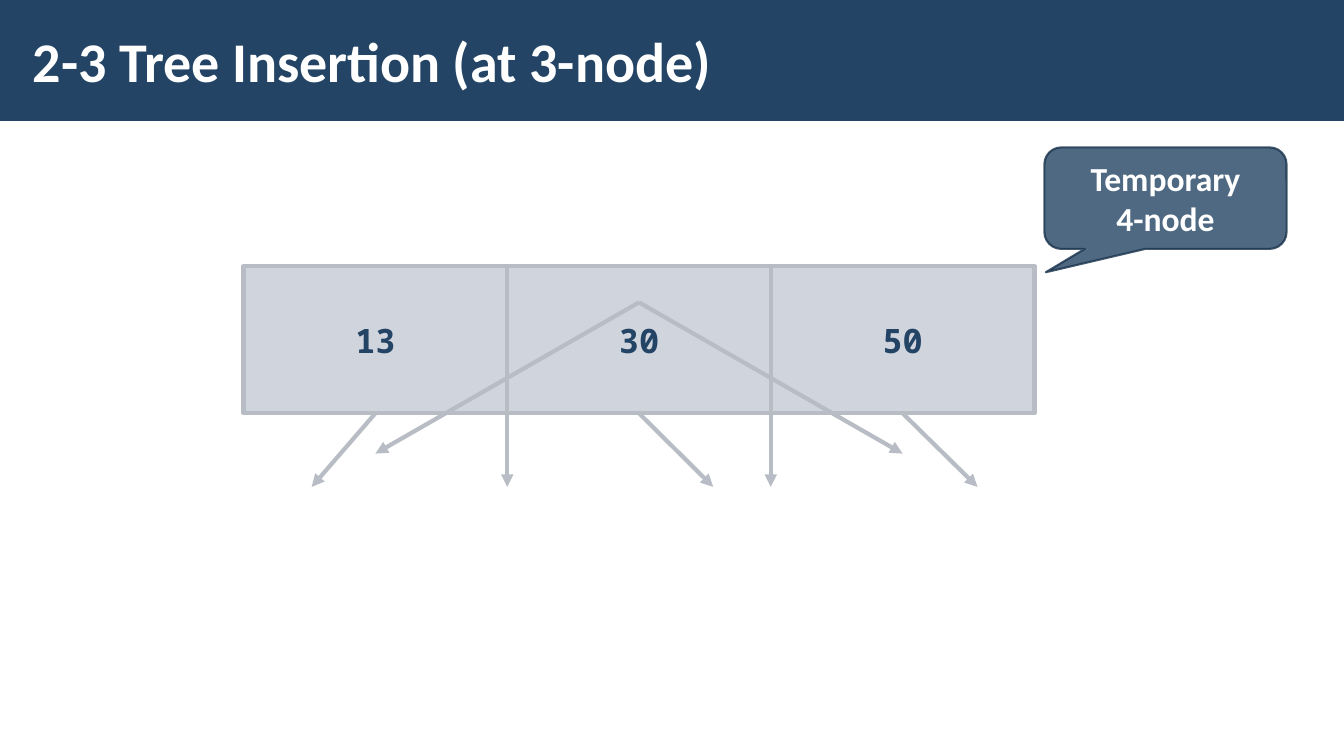
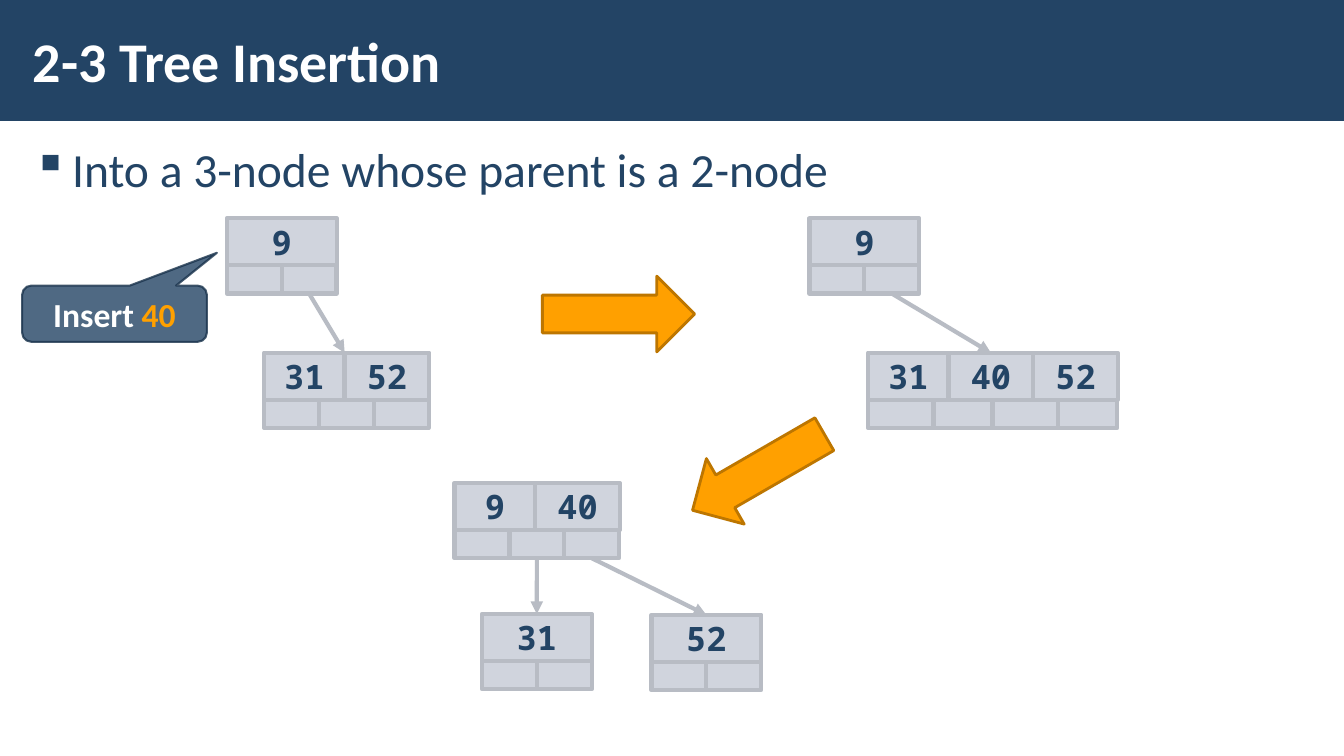
"""Build two slides on inserting keys into a 2-3 tree."""
from itertools import accumulate

from lxml import etree
from pptx import Presentation
from pptx.dml.color import RGBColor
from pptx.enum import shapes, text
from pptx.oxml import ns
from pptx.util import Pt

COLORS = {
    "navy": "234465", "edge": "1A334C", "white": "FFFFFF", "cell": "A3ABBC",
    "line": "B8BCC4", "orange": "FFA000", "rust": "BD7600",
}
SANS, MONO = "Calibri", "Noto Sans Mono"

FOUR_NODE_TITLE = "2-3 Tree Insertion (at 3-node)"
FOUR_NODE_KEYS = ["13", "30", "50"]
FOUR_NODE_BOX = (174, 190, 188.3, 105.2)
FOUR_NODE_CALLOUT = {
    "box": (746, 105.3, 173, 72.5), "tip": (-0.494, 0.73),
    "lines": [[("Temporary", "white")], [("4-node", "white")]],
}
SLANTS = [-45.5, 53, 53.5]
POINTER_DROP = 52.6
SPLIT_TOP, SPLIT_BOTTOM = 216, 324

INSERT_TITLE = "2-3 Tree Insertion"
INSERT_BULLET = "Into a 3-node whose parent is a 2-node"
INSERT_CALLOUT = {
    "box": (15.8, 204, 132, 40.2), "tip": (0.554, -1.082),
    "lines": [[("Insert ", "white"), ("40", "orange")]],
}
NODES = {
    "parent": (162, 156, ["9"]),
    "child": (188.6, 252, ["31", "52"]),
    "parent with overflow": (578.2, 156, ["9"]),
    "overflow": (620, 252, ["31", "40", "52"]),
    "grown parent": (324.7, 345, ["9", "40"]),
    "left child": (344.2, 438.6, ["31"]),
    "right child": (465.3, 439.2, ["52"]),
}
EDGES = [
    ("parent", 1, "child"), ("parent with overflow", 1, "overflow"),
    ("grown parent", 2, "right child"), ("grown parent", 1, "left child"),
]
KEY_WIDTHS = {1: [78.5], 2: [57.6, 60.4], 3: [57.6, 60.4, 60.4]}
LINK_WIDTHS = {1: [39.2] * 2, 2: [39.2] * 3, 3: [46.8, 42.2, 46.8, 42.2]}
KEY_HEIGHT, LINK_HEIGHT = 33.5, 20.2
STEP_ARROWS = [((387.4, 197.3, 108.7, 54), 0), ((487.4, 310.3, 108.7, 54), 150)]


def rgb(name):
    return RGBColor.from_string(COLORS[name])


def add_run(paragraph, words, size, color, font=SANS, bold=True):
    run = paragraph.add_run()
    run.text = words
    run.font.size, run.font.bold, run.font.name = Pt(size), bold, font
    run.font.color.rgb = rgb(color)


def add_box(slide, kind, box, fill, line=None, width=0, fill_alpha=100, line_alpha=100):
    shape = slide.shapes.add_shape(kind, *map(Pt, box))
    shape.shadow.inherit = False
    shape.fill.solid()
    shape.fill.fore_color.rgb = rgb(fill)
    if line:
        shape.line.color.rgb = rgb(line)
        shape.line.width = Pt(width)
    else:
        shape.line.fill.background()
    properties = shape._element.spPr
    outline = properties.find(ns.qn("a:ln"))
    for holder, alpha in ((properties, fill_alpha), (outline, line_alpha)):
        if alpha < 100:
            color = holder.find(ns.qn("a:solidFill")).find(ns.qn("a:srgbClr"))
            etree.SubElement(color, ns.qn("a:alpha")).set("val", str(alpha * 1000))
    return shape


def add_cell(slide, box, key=None):
    cell = add_box(slide, shapes.MSO_SHAPE.RECTANGLE, box, "cell", "line", 3, 50)
    if key:
        frame = cell.text_frame
        frame.word_wrap = False
        frame.vertical_anchor = text.MSO_ANCHOR.MIDDLE
        frame.paragraphs[0].alignment = text.PP_ALIGN.CENTER
        add_run(frame.paragraphs[0], key, 24, "navy", MONO)
    return cell


def add_row(slide, left, top, widths, height, keys):
    lefts = accumulate(widths[:-1], initial=left)
    return [add_cell(slide, (x, top, width, height), key)
            for x, width, key in zip(lefts, widths, keys)]


def add_node(slide, left, top, keys):
    count = len(keys)
    links = LINK_WIDTHS[count]
    return (add_row(slide, left, top, KEY_WIDTHS[count], KEY_HEIGHT, keys),
            add_row(slide, left, top + KEY_HEIGHT, links, LINK_HEIGHT, [None] * len(links)))


def add_arrow(slide, start, end, source=None, target=None):
    arrow = slide.shapes.add_connector(
        shapes.MSO_CONNECTOR.STRAIGHT, *map(Pt, (*start, *end)))
    if source:
        arrow.begin_connect(source, 2)
    if target:
        arrow.end_connect(target, 0)
    arrow.line.color.rgb = rgb("line")
    arrow.line.width = Pt(3)
    outline = arrow.line._get_or_add_ln()
    etree.SubElement(outline, ns.qn("a:tailEnd")).set("type", "triangle")
    etree.SubElement(arrow._element.spPr, ns.qn("a:effectLst"))


def add_callout(slide, callout):
    shape = add_box(slide, shapes.MSO_SHAPE.ROUNDED_RECTANGULAR_CALLOUT,
                    callout["box"], "navy", "edge", 1.5, 80, 80)
    shape.adjustments[0], shape.adjustments[1] = callout["tip"]
    frame = shape.text_frame
    frame.vertical_anchor = text.MSO_ANCHOR.MIDDLE
    for index, runs in enumerate(callout["lines"]):
        paragraph = frame.add_paragraph() if index else frame.paragraphs[0]
        paragraph.alignment = text.PP_ALIGN.CENTER
        for words, color in runs:
            add_run(paragraph, words, 24, color)


def add_text_frame(slide, box, anchor):
    frame = slide.shapes.add_textbox(*map(Pt, box)).text_frame
    frame.word_wrap = True
    frame.vertical_anchor = anchor
    frame.margin_left = frame.margin_right = Pt(8.5)
    frame.margin_top = frame.margin_bottom = Pt(3)
    return frame


def add_titled_slide(presentation, title):
    slide = presentation.slides.add_slide(presentation.slide_layouts[6])
    add_box(slide, shapes.MSO_SHAPE.RECTANGLE, (0, 0, 960, 86.4), "navy")
    frame = add_text_frame(slide, (15, 8, 765, 70), text.MSO_ANCHOR.MIDDLE)
    add_run(frame.paragraphs[0], title, 40, "white")
    return slide


def build_four_node(presentation):
    slide = add_titled_slide(presentation, FOUR_NODE_TITLE)
    left, top, width, height = FOUR_NODE_BOX
    bottom = top + height
    cells = add_row(slide, left, top, [width] * 3, height, FOUR_NODE_KEYS)
    centers = [left + width * (index + 0.5) for index in range(3)]
    for cell, center, slant in zip(cells, centers, SLANTS):
        add_arrow(slide, (center, bottom), (center + slant, bottom + POINTER_DROP), cell)
    for index in (1, 2):
        border = left + width * index
        add_arrow(slide, (border, bottom), (border, bottom + POINTER_DROP))
    add_callout(slide, FOUR_NODE_CALLOUT)
    for end in (centers[2], centers[0]):
        add_arrow(slide, (centers[1], SPLIT_TOP), (end, SPLIT_BOTTOM))


def build_insertion(presentation):
    slide = add_titled_slide(presentation, INSERT_TITLE)
    frame = add_text_frame(slide, (15, 95, 930, 435), text.MSO_ANCHOR.TOP)
    paragraph = frame.paragraphs[0]
    properties = paragraph._p.get_or_add_pPr()
    properties.set("marL", str(Pt(28)))
    properties.set("indent", str(Pt(-28)))
    etree.SubElement(properties, ns.qn("a:buChar")).set("char", "▪")
    paragraph.line_spacing = 1.05
    paragraph.space_after = Pt(6)
    add_run(paragraph, INSERT_BULLET, 34, "navy", bold=False)

    nodes = {name: add_node(slide, *node) for name, node in NODES.items()}
    for parent, link, child in EDGES:
        source = nodes[parent][1][link]
        keys = nodes[child][0]
        middle = len(keys) // 2
        target = keys[middle] if len(keys) % 2 else None
        end = (keys[middle].left.pt, keys[middle].top.pt)
        add_arrow(slide, (source.left.pt, source.top.pt), end, source, target)
    add_callout(slide, INSERT_CALLOUT)
    for box, rotation in STEP_ARROWS:
        arrow = add_box(slide, shapes.MSO_SHAPE.RIGHT_ARROW, box, "orange", "rust", 2)
        arrow.rotation = rotation


def main():
    presentation = Presentation()
    presentation.slide_width, presentation.slide_height = Pt(960), Pt(540)
    build_four_node(presentation)
    build_insertion(presentation)
    presentation.save("out.pptx")


if __name__ == "__main__":
    main()
